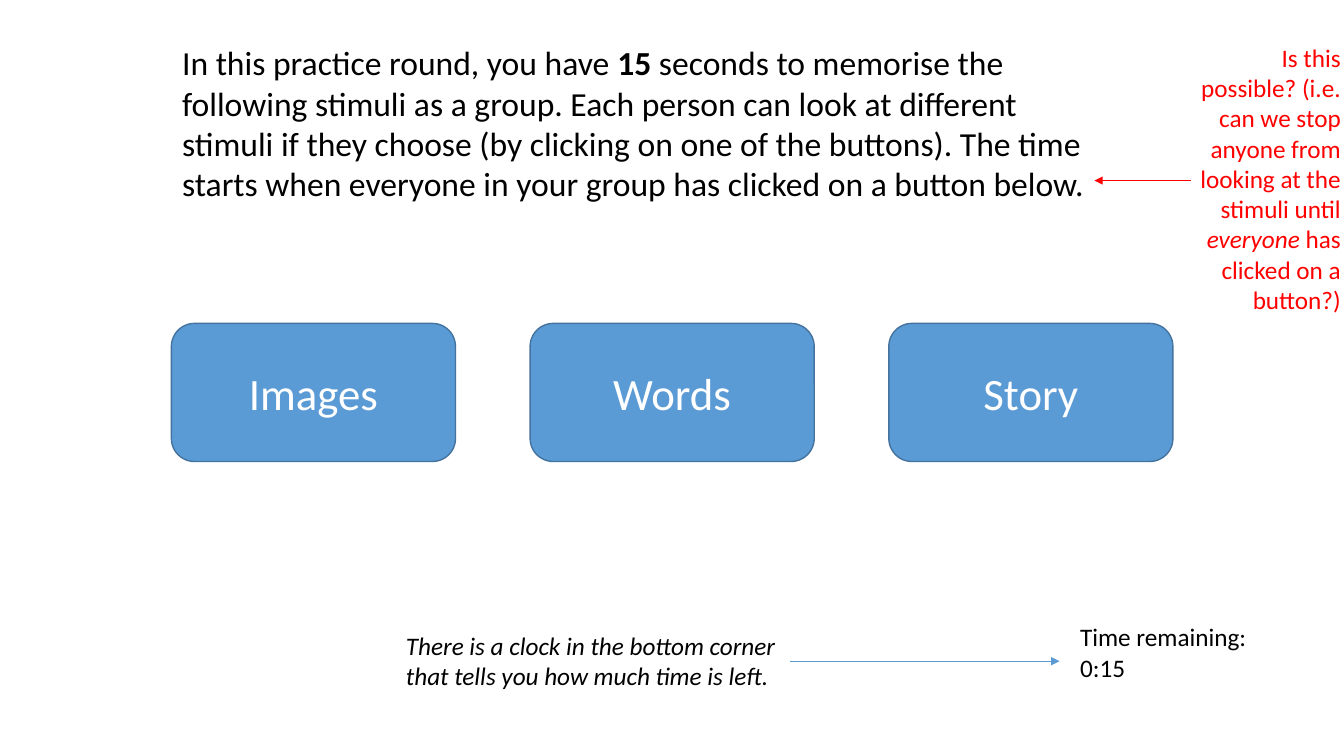
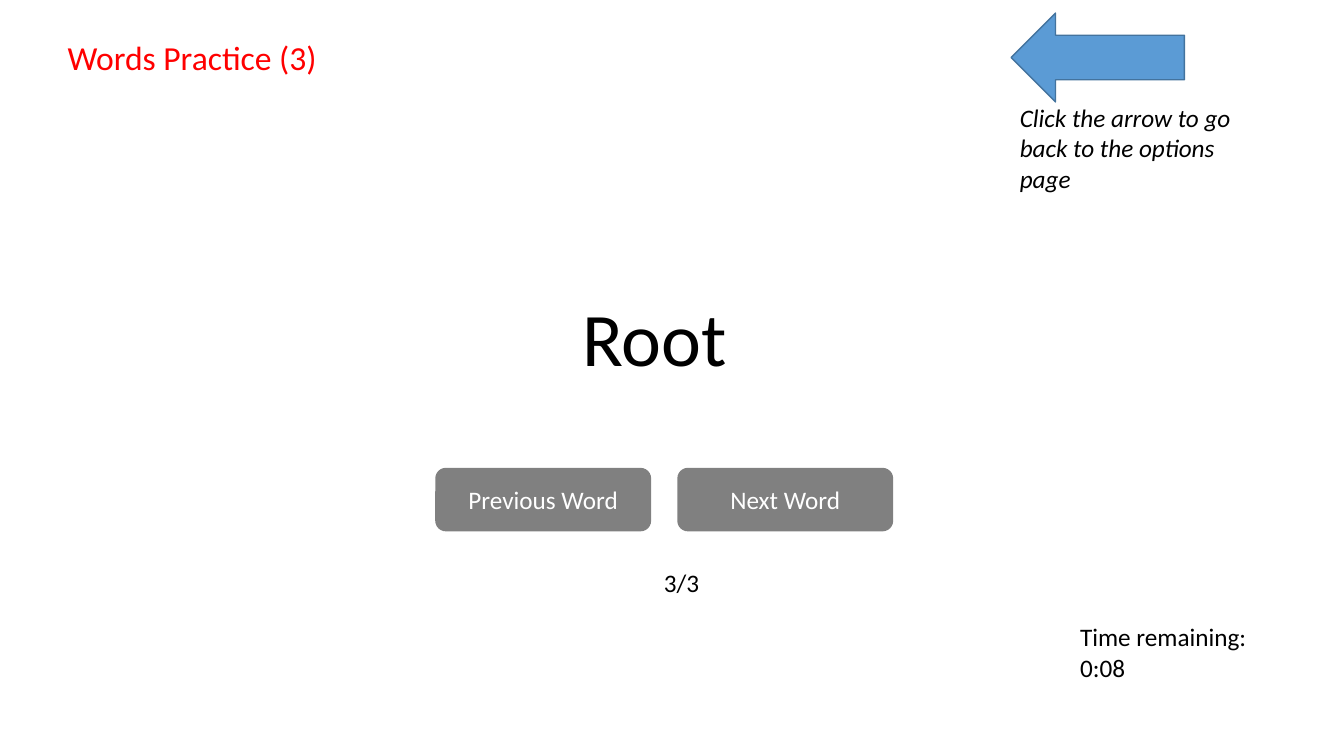
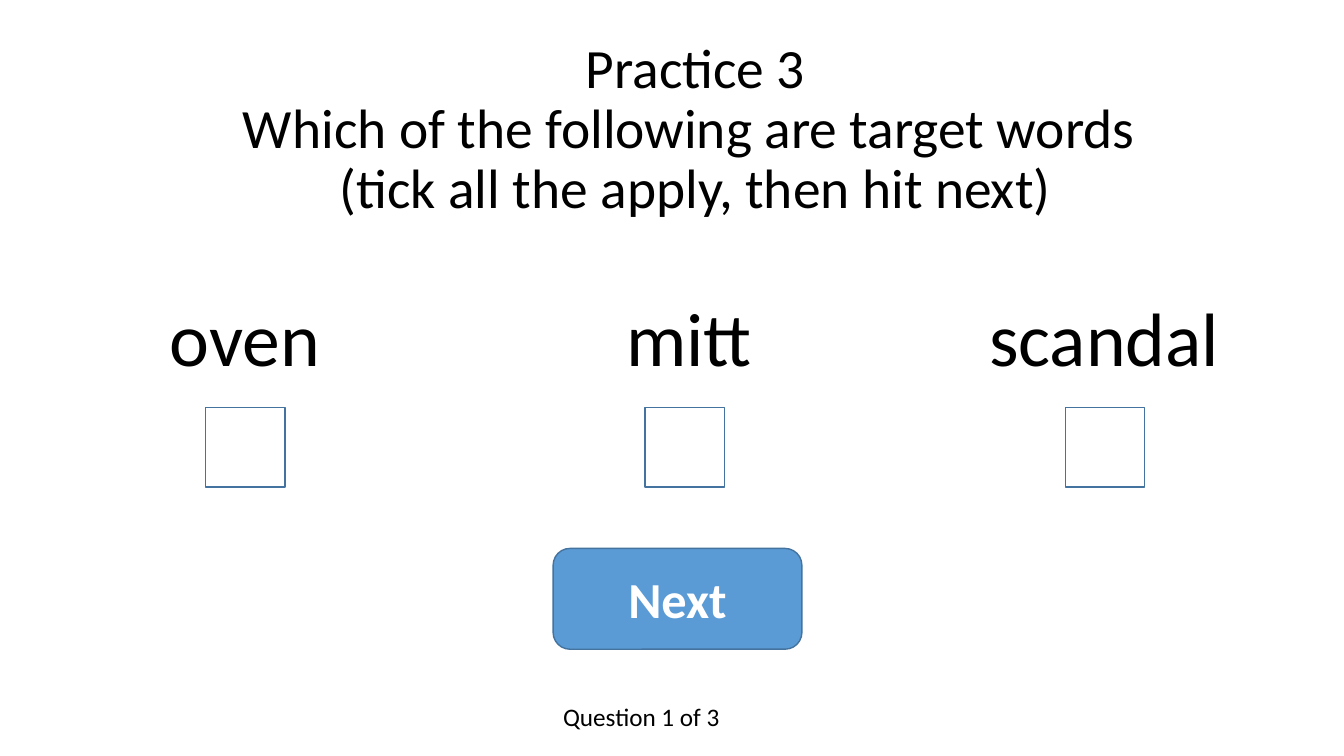
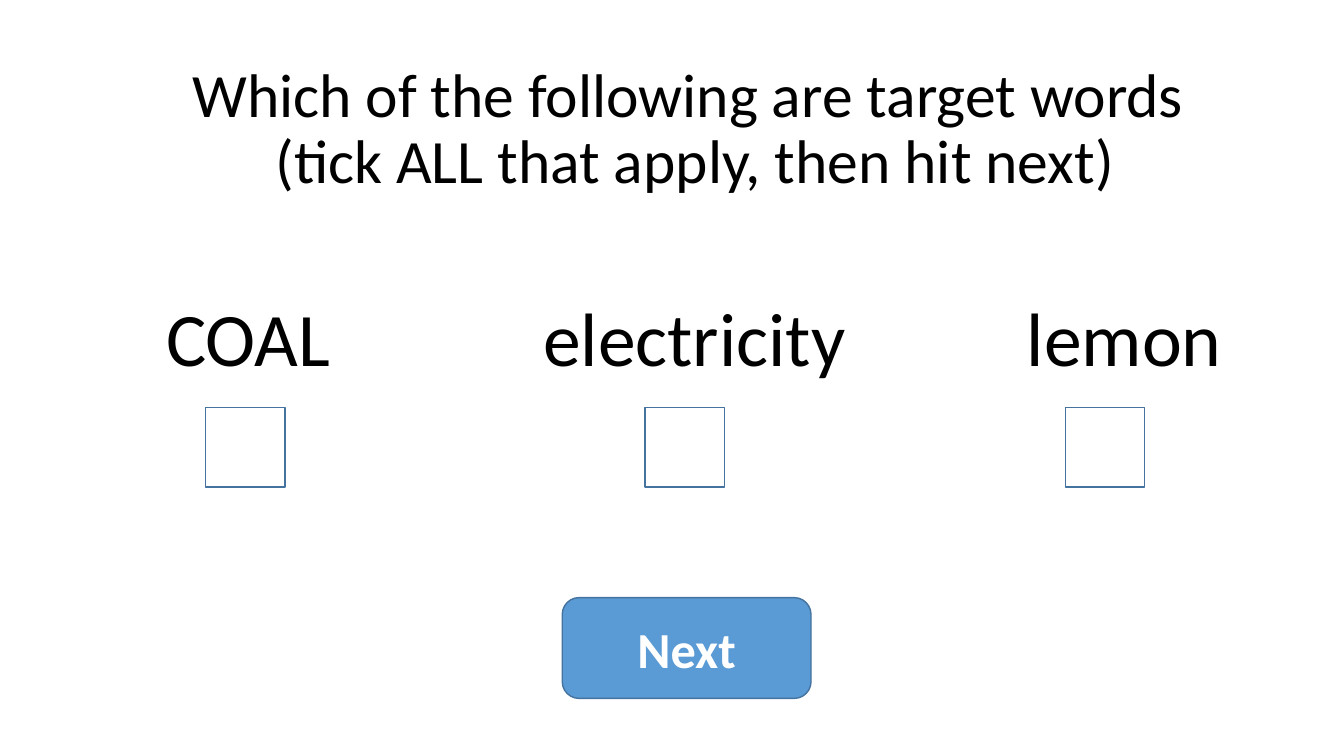
from lxml import etree
from pptx import Presentation
from pptx.dml.color import RGBColor
from pptx.enum import shapes, text
from pptx.oxml import ns
from pptx.util import Cm, Pt

# Shared style
COLORS = {"blue": "5B9BD5", "edge": "43739E", "grey": "808080",
          "red": "FF0000", "black": "000000", "white": "FFFFFF"}
FONT = "Calibri"
LEFT, CENTER, RIGHT = (text.PP_ALIGN.LEFT, text.PP_ALIGN.CENTER,
                       text.PP_ALIGN.RIGHT)
TITLE_ONLY, BLANK = 5, 6
TITLE_BOX = (2.92, 1.45, 29.21, 3.68)
TIMER_BOX = (26.97, 15.54, 5.69, 1.8)
WORD_TOP, WORD_HEIGHT = 7.21, 2.57
CHECK_SIZE = 2


def rgb(name):
    return RGBColor.from_string(COLORS[name])


def cms(box):
    return [Cm(v) for v in box]


# Text
def write(tf, paras, size=18, color="black", align=LEFT, **fmt):
    """Each paragraph is a string or a list of (string, format dict) runs."""
    for i, runs in enumerate(paras):
        p = tf.paragraphs[0] if i == 0 else tf.add_paragraph()
        p.alignment = align
        for words, extra in [(runs, {})] if isinstance(runs, str) else runs:
            for j, line in enumerate(words.split("\n")):
                if j:
                    p.add_line_break()
                r = p.add_run()
                r.text = line
                style = {"name": FONT, "size": Pt(size), **fmt, **extra}
                for key, value in style.items():
                    setattr(r.font, key, value)
                r.font.color.rgb = rgb(color)


def add_text(s, box, paras, **fmt):
    tf = s.shapes.add_textbox(*cms(box)).text_frame
    tf.word_wrap = True
    tf.auto_size = text.MSO_AUTO_SIZE.SHAPE_TO_FIT_TEXT
    write(tf, paras, **fmt)


def set_title(s, box, words, anchor=text.MSO_ANCHOR.MIDDLE, spacing=0.9, **fmt):
    sp = s.shapes.title
    for key, value in zip(("left", "top", "width", "height"), cms(box)):
        setattr(sp, key, value)
    tf = sp.text_frame
    tf.word_wrap = True
    tf.auto_size = text.MSO_AUTO_SIZE.NONE
    tf.vertical_anchor = anchor
    write(tf, [words], **fmt)
    tf.paragraphs[0].line_spacing = spacing


# Shapes
def add_box(s, kind, box, fill=None, line="edge"):
    sp = s.shapes.add_shape(kind, *cms(box))
    sp.shadow.inherit = False
    if fill:
        sp.fill.solid()
        sp.fill.fore_color.rgb = rgb(fill)
    else:
        sp.fill.background()
    if line:
        sp.line.color.rgb = rgb(line)
        sp.line.width = Pt(1)
    else:
        sp.line.fill.background()
    return sp


def add_button(s, box, label, fill="blue", line="edge", **fmt):
    sp = add_box(s, shapes.MSO_SHAPE.ROUNDED_RECTANGLE, box, fill, line)
    sp.text_frame.vertical_anchor = text.MSO_ANCHOR.MIDDLE
    write(sp.text_frame, [label], color="white", align=CENTER, **fmt)


def add_button_row(s, box, pitch, labels, **fmt):
    left, top, width, height = box
    for i, label in enumerate(labels):
        add_button(s, (left + i * pitch, top, width, height), label, **fmt)


def add_arrow(s, x1, x2, y, color):
    c = s.shapes.add_connector(shapes.MSO_CONNECTOR.STRAIGHT,
                               Cm(x1), Cm(y), Cm(x2), Cm(y))
    c.line.color.rgb = rgb(color)
    c.line.width = Pt(0.5)
    etree.SubElement(c.line._get_or_add_ln(), ns.qn("a:tailEnd"),
                     type="triangle")
    etree.SubElement(c._element.spPr, ns.qn("a:effectLst"))


def add_timer(s, time, box=TIMER_BOX):
    add_text(s, box, ["Time remaining:", time])


# Slide types
def options_slide(s):
    add_button_row(s, (4.32, 8.15, 7.16, 3.48), 9.04,
                   ["Images", "Words", "Story"], size=32)
    add_text(s, (4.34, 0.94, 24, 4.37), [[
        ("In this practice round, you have ", {}),
        ("15 ", {"bold": True}),
        ("seconds to memorise the following stimuli as a group. Each person "
         "can look at different stimuli if they choose (by clicking on one of "
         "the buttons). The time starts when everyone in your group has "
         "clicked on a button below.", {})]], size=24)

    # Clock note and timer
    add_text(s, (9.98, 15.75, 9.96, 1.8),
             ["There is a clock in the bottom corner that tells you how much "
              "time is left."], italic=True)
    add_arrow(s, 19.91, 26.7, 16.66, "blue")
    add_timer(s, "0:15")

    # Side comment
    add_text(s, (29.57, 0.94, 4.47, 7.19), [[
        ("Is this possible? (i.e. can we stop anyone from looking at the "
         "stimuli until ", {}),
        ("everyone ", {"italic": True}),
        ("has clicked on a button?)", {})]], color="red", align=RIGHT)
    add_arrow(s, 30.02, 27.58, 4.55, "red")


def word_slide(s):
    set_title(s, (1.45, 0.81, 7.87, 1.28), "Words Practice (3)",
              anchor=text.MSO_ANCHOR.TOP, spacing=1.0, size=24, color="red")
    add_text(s, (12.55, WORD_TOP, 7.9, WORD_HEIGHT), ["Root"],
             size=54, align=CENTER)

    # Way back to the options
    add_box(s, shapes.MSO_SHAPE.LEFT_ARROW, (25.48, 0.33, 4.37, 2.24), "blue")
    add_text(s, (25.45, 2.46, 5.92, 2.57),
             ["Click the arrow to go back to the options page"], italic=True)

    # Navigation
    add_button_row(s, (10.97, 11.79, 5.44, 1.6), 6.1,
                   ["Previous Word", "Next Word"], fill="grey", line=None)
    add_text(s, (16.48, 14.17, 2.64, 1.02), ["3/3"])
    add_timer(s, "0:08")


def question_slide(s, title, size, choices, next_at):
    """Choices are (word, left, width); next_at is the button's corner."""
    set_title(s, TITLE_BOX, title, size=size, align=CENTER)
    for (word, left, width), check_left in zip(choices, (5.18, 16.26, 26.85)):
        add_text(s, (left, WORD_TOP, width, WORD_HEIGHT), [word],
                 size=54, align=CENTER)
        add_box(s, shapes.MSO_SHAPE.RECTANGLE,
                (check_left, 10.27, CHECK_SIZE, CHECK_SIZE))
    add_button(s, (*next_at, 6.27, 2.54), "Next", size=36, bold=True)


def main():
    prs = Presentation()
    prs.slide_width, prs.slide_height = Cm(33.87), Cm(19.05)

    def new_slide(layout):
        return prs.slides.add_slide(prs.slide_layouts[layout])

    options_slide(new_slide(BLANK))
    word_slide(new_slide(TITLE_ONLY))

    s = new_slide(TITLE_ONLY)
    question_slide(
        s, "Practice 3\nWhich of the following are target words \n"
        "(tick all the apply, then hit next)", 39.6,
        [("oven", 1.37, 9.6), ("mitt", 14.68, 5.36), ("scandal", 24.51, 6.63)],
        (13.94, 13.82))
    add_text(s, (13.94, 17.55, 5.11, 1.02), ["Question 1 of 3"])

    question_slide(
        new_slide(TITLE_ONLY), "Which of the following are target words \n"
        "(tick ALL that apply, then hit next)", 44,
        [("COAL", 1.8, 8.92), ("electricity", 12.45, 10.11),
         ("lemon", 24.41, 7.85)],
        (14.17, 15.06))

    prs.save("out.pptx")


if __name__ == "__main__":
    main()
